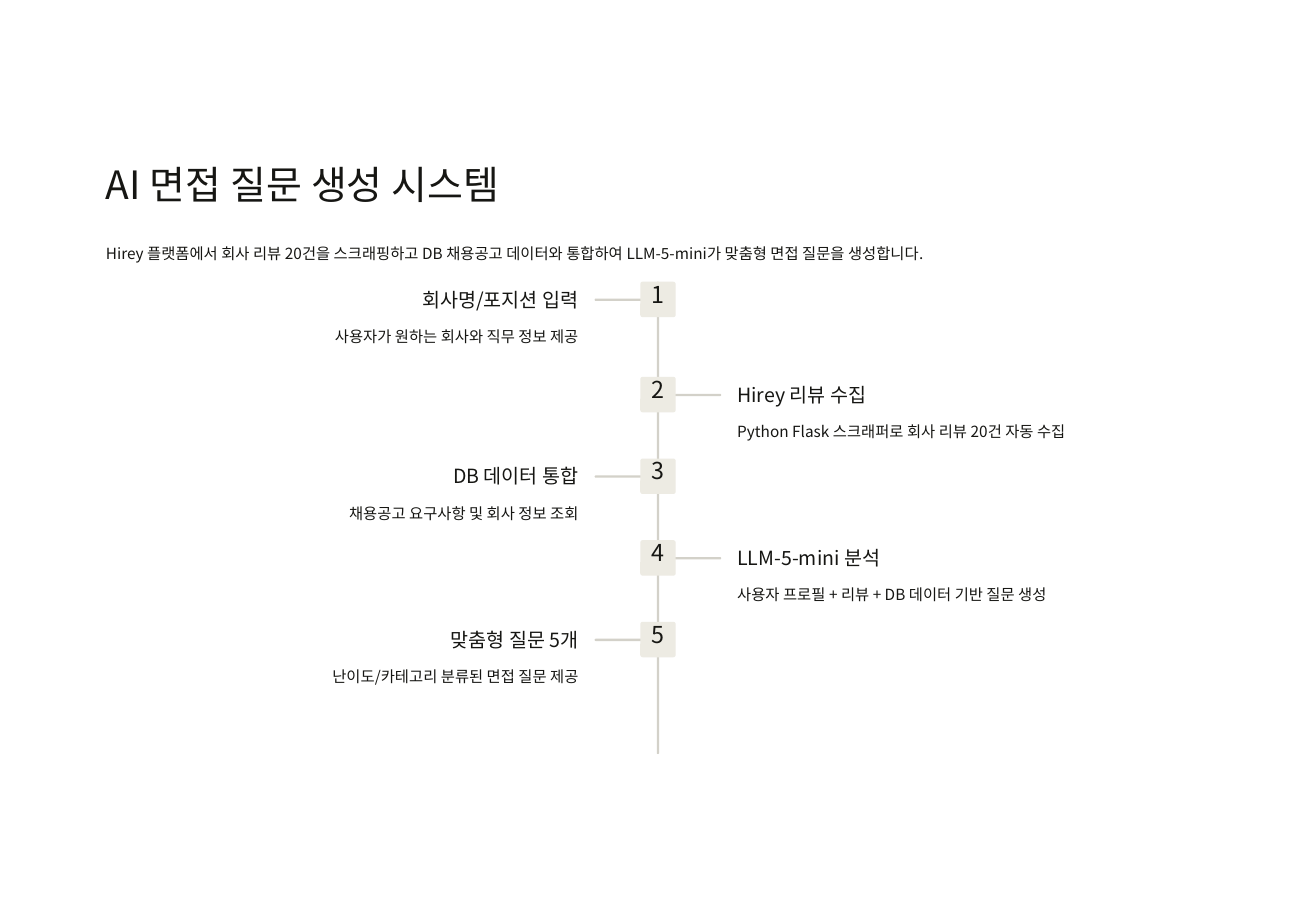
from lxml import etree
from pptx import Presentation
from pptx.dml.color import RGBColor
from pptx.enum import shapes, text
from pptx.oxml import ns
from pptx.util import Pt

INK = RGBColor(0x16, 0x16, 0x13)
LINE = RGBColor(0xD3, 0xD1, 0xC9)
BADGE = RGBColor(0xED, 0xEB, 0xE3)
FONT = "Noto Sans CJK KR"
LEFT, MID, RIGHT = text.PP_ALIGN.LEFT, text.PP_ALIGN.CENTER, text.PP_ALIGN.RIGHT

TITLE = "AI 면접 질문 생성 시스템"
INTRO = ("Hirey 플랫폼에서 회사 리뷰 20건을 스크래핑하고 DB 채용공고 데이터와 "
         "통합하여 LLM-5-mini가 맞춤형 면접 질문을 생성합니다.")
STEPS = [
    ("회사명/포지션 입력", "사용자가 원하는 회사와 직무 정보 제공"),
    ("Hirey 리뷰 수집", "Python Flask 스크래퍼로 회사 리뷰 20건 자동 수집"),
    ("DB 데이터 통합", "채용공고 요구사항 및 회사 정보 조회"),
    ("LLM-5-mini 분석", "사용자 프로필 + 리뷰 + DB 데이터 기반 질문 생성"),
    ("맞춤형 질문 5개", "난이도/카테고리 분류된 면접 질문 제공"),
]


def label(slide, box, words, size, lead, align=LEFT):
    frame = slide.shapes.add_textbox(*map(Pt, box)).text_frame
    frame.margin_left = frame.margin_right = 0
    frame.margin_top = frame.margin_bottom = 0
    frame.word_wrap = False
    frame.text = words
    para = frame.paragraphs[0]
    para.alignment = align
    para.line_spacing = Pt(lead)
    run = para.runs[0]
    run.font.name = FONT
    run.font.size = Pt(size)
    run.font.color.rgb = INK
    # Korean glyphs take the East Asian typeface
    etree.SubElement(run.font._element, ns.qn("a:ea"), typeface=FONT)


def bar(slide, box, fill, curve=0.5):
    shape = slide.shapes.add_shape(
        shapes.MSO_SHAPE.ROUNDED_RECTANGLE, *map(Pt, box))
    shape.adjustments[0] = curve
    shape.shadow.inherit = False
    shape.fill.solid()
    shape.fill.fore_color.rgb = fill
    shape.line.fill.background()


def header(slide, x, y, width):
    label(slide, (x, y, 240, 29.5), TITLE, 23.1, 29.1)
    label(slide, (x, y + 47.5, width, 15), INTRO, 9.1, 14.7)


def step(slide, x, y, width, num, head, note):
    mid = x + width / 2
    left = num % 2 == 1
    # Branch line and numbered badge
    bar(slide, (mid - 37.5 if left else mid + 9.5, y + 10, 28, 1.4), LINE)
    bar(slide, (mid - 10.5, y, 21, 21), BADGE, 0.067)
    label(slide, (mid - 7.2, y + 1.6, 14.4, 17.3), str(num), 13.8, 13.8, MID)
    # Heading and note beside the branch
    rows = [(head, 3, 117.4, 14.4, 11.6, 14.4), (note, 23, 280, 15, 9.1, 14.7)]
    for words, drop, wide, high, size, lead in rows:
        start = mid - 47 - wide if left else mid + 47
        label(slide, (start, y + drop, wide, high), words, size, lead,
              RIGHT if left else LEFT)


def timeline(slide, x, y, width, height):
    # Central spine
    bar(slide, (x + width / 2 - 0.7, y, 1.4, height), LINE)
    # The first gap is wider than the rest
    for i, (head, note) in enumerate(STEPS):
        drop = 56.4 + 48.4 * (i - 1) if i else 0
        step(slide, x, y + drop, width, i + 1, head, note)


def main():
    deck = Presentation()
    deck.slide_width, deck.slide_height = Pt(780), Pt(540)
    slide = deck.slides.add_slide(deck.slide_layouts[6])
    header(slide, 62.8, 93.6, 654.4)
    timeline(slide, 62.8, 167, 654.4, 280)
    deck.save("out.pptx")


if __name__ == "__main__":
    main()
